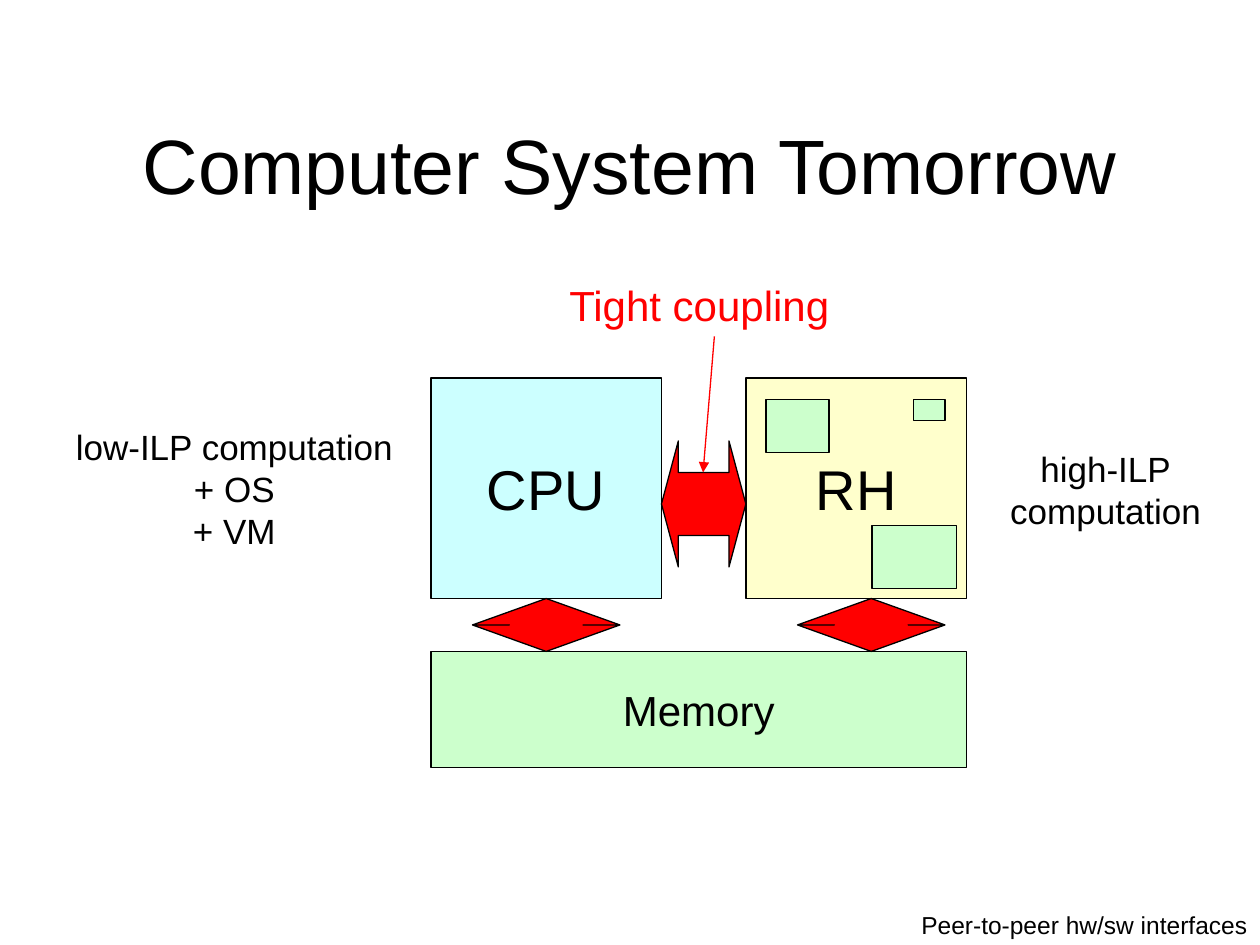
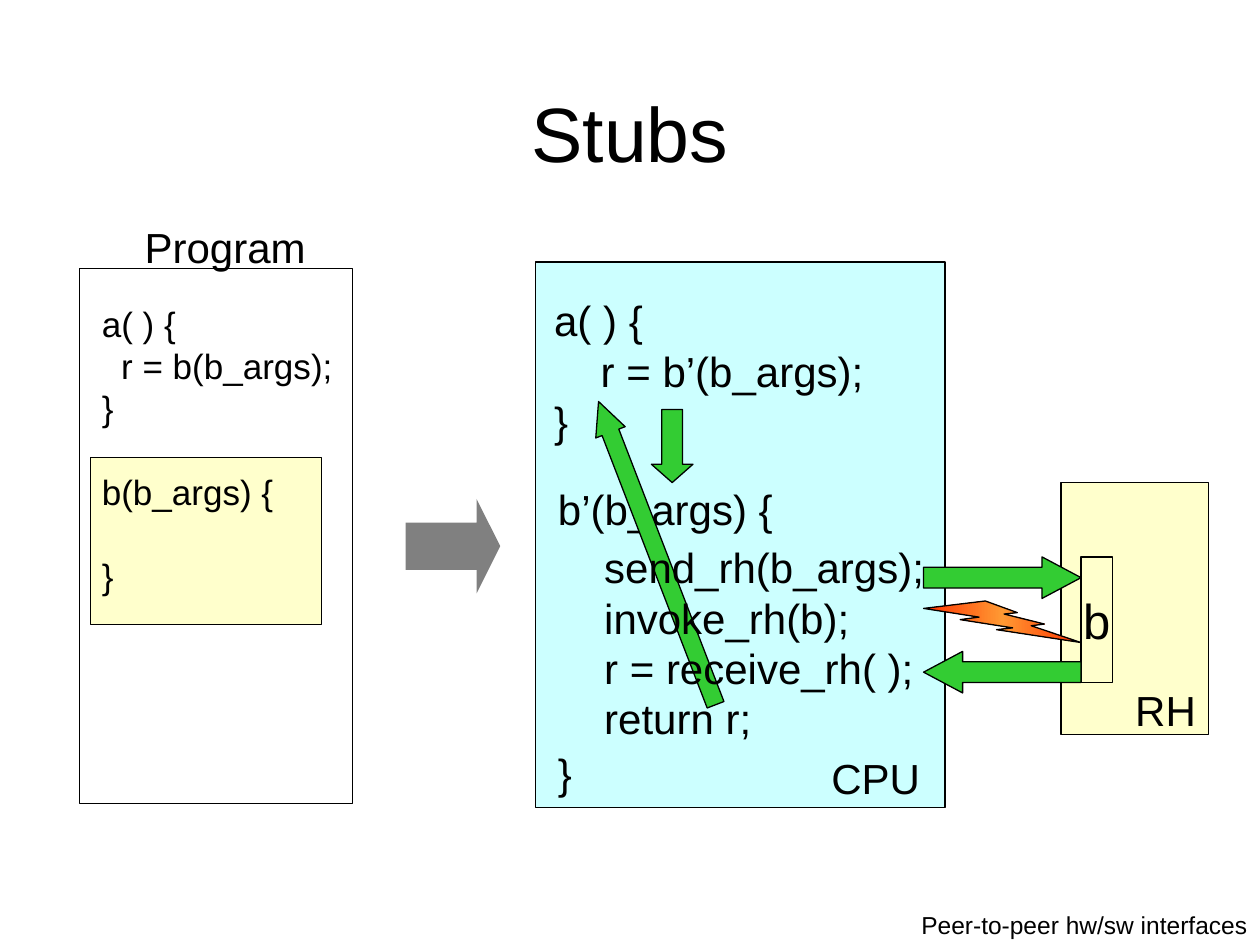
from copy import deepcopy
from dataclasses import dataclass

from lxml import etree
from pptx import Presentation
from pptx.dml.color import RGBColor
from pptx.enum.shapes import MSO_CONNECTOR, MSO_SHAPE
from pptx.enum.text import MSO_ANCHOR, PP_ALIGN
from pptx.oxml.ns import qn
from pptx.util import Inches, Pt

RECTANGLE = MSO_SHAPE.RECTANGLE
LEFT_RIGHT_ARROW = MSO_SHAPE.LEFT_RIGHT_ARROW
UP_DOWN_ARROW = MSO_SHAPE.UP_DOWN_ARROW
RIGHT_ARROW = MSO_SHAPE.RIGHT_ARROW
LEFT_ARROW = MSO_SHAPE.LEFT_ARROW
DOWN_ARROW = MSO_SHAPE.DOWN_ARROW
UP_ARROW = MSO_SHAPE.UP_ARROW
LIGHTNING_BOLT = MSO_SHAPE.LIGHTNING_BOLT
STRAIGHT = MSO_CONNECTOR.STRAIGHT
LEFT, CENTER, RIGHT = PP_ALIGN.LEFT, PP_ALIGN.CENTER, PP_ALIGN.RIGHT
TOP, MIDDLE, BOTTOM = MSO_ANCHOR.TOP, MSO_ANCHOR.MIDDLE, MSO_ANCHOR.BOTTOM
BLANK_LAYOUT = 6


@dataclass(frozen=True)
class Theme:
    font: str = "Arial"
    ink: str = "000000"
    processor: str = "CCFFFF"
    hardware: str = "FFFFCC"
    memory: str = "CCFFCC"
    coupling: str = "FF0000"
    call: str = "33CC33"
    transform: str = "808080"
    bolt_edge: str = "FF3300"
    bolt_core: str = "FF9933"
    line_width: float = 0.75
    title_size: int = 44
    block_size: int = 32
    function_size: int = 28
    label_size: int = 24
    note_size: int = 20
    footer_size: int = 14


THEME = Theme()


def color(value):
    return RGBColor.from_string(value)


def write_text(shape, text, size=THEME.label_size, ink=THEME.ink, align=LEFT,
               anchor=TOP, wrap=True, gaps=None, line_spacing=None):
    """Write one paragraph per line; gaps maps a line index to points before it."""
    frame = shape.text_frame
    frame.word_wrap = wrap
    frame.vertical_anchor = anchor
    for index, line in enumerate(text.split("\n")):
        paragraph = frame.paragraphs[0] if index == 0 else frame.add_paragraph()
        paragraph.text = line
        paragraph.alignment = align
        paragraph.line_spacing = line_spacing
        paragraph.space_before = Pt((gaps or {}).get(index, 0))
        paragraph.font.name = THEME.font
        paragraph.font.size = Pt(size)
        paragraph.font.color.rgb = color(ink)


def add_text(slide, text, box, **text_format):
    text_box = slide.shapes.add_textbox(*map(Inches, box))
    write_text(text_box, text, **text_format)


def add_block(slide, kind, box, fill=None, outlined=True, adjustments=()):
    shape = slide.shapes.add_shape(kind, *map(Inches, box))
    shape.shadow.inherit = False
    if fill:
        shape.fill.solid()
        shape.fill.fore_color.rgb = color(fill)
    else:
        shape.fill.background()
    if outlined:
        shape.line.color.rgb = color(THEME.ink)
        shape.line.width = Pt(THEME.line_width)
    else:
        shape.line.fill.background()
    for index, value in enumerate(adjustments):
        shape.adjustments[index] = value
    return shape


def add_labeled_box(slide, text, box, fill=None, size=THEME.label_size,
                    align=CENTER, anchor=MIDDLE):
    shape = add_block(slide, RECTANGLE, box, fill)
    write_text(shape, text, size=size, align=align, anchor=anchor, wrap=False)
    return shape


def add_pointer(slide, start, end, ink):
    connector = slide.shapes.add_connector(STRAIGHT, *map(Inches, (*start, *end)))
    connector.line.color.rgb = color(ink)
    connector.line.width = Pt(THEME.line_width)
    etree.SubElement(connector.line._get_or_add_ln(), qn("a:tailEnd"), type="triangle")
    etree.SubElement(connector._element.spPr, qn("a:effectLst"))


def add_lightning(slide, box):
    """Add a bolt whose colour runs from edge to core and back to edge."""
    bolt = add_block(slide, LIGHTNING_BOLT, box)
    bolt.fill.gradient()
    bolt.fill.gradient_angle = 0
    stops = bolt._element.spPr.find(qn("a:gradFill")).find(qn("a:gsLst"))
    stops.insert(1, deepcopy(stops[0]))
    shades = (THEME.bolt_edge, THEME.bolt_core, THEME.bolt_edge)
    for stop, position, shade in zip(bolt.fill.gradient_stops, (0, 0.5, 1), shades):
        stop.position = position
        stop.color.rgb = color(shade)


def add_slide(presentation, title, title_height):
    """Add a slide with the shared title style and footer."""
    slide = presentation.slides.add_slide(presentation.slide_layouts[BLANK_LAYOUT])
    add_text(slide, title, (0.75, 0.67, 8.5, title_height), size=THEME.title_size,
             align=CENTER, anchor=MIDDLE)
    add_text(slide, "Peer-to-peer hw/sw interfaces", (6.25, 7.17, 3.75, 0.33),
             size=THEME.footer_size, align=RIGHT)
    return slide


def build_system_slide(presentation):
    slide = add_slide(presentation, "Computer System Tomorrow", 1.25)
    notes = (("high-ILP\ncomputation", (7.82, 3.5, 1.91, 0.77)),
             ("low-ILP computation\n+ OS\n+ VM", (0.4, 3.33, 2.92, 1.1)))
    for text, box in notes:
        add_text(slide, text, box, size=THEME.note_size, align=CENTER)

    add_labeled_box(slide, "CPU", (3.42, 3, 1.83, 1.75), THEME.processor,
                    size=THEME.block_size)
    add_labeled_box(slide, "RH", (5.92, 3, 1.75, 1.75), THEME.hardware,
                    size=THEME.block_size)
    add_labeled_box(slide, "Memory", (3.42, 5.17, 4.25, 0.92), THEME.memory)
    for local_memory in ((6.08, 3.17, 0.5, 0.42), (7.25, 3.17, 0.25, 0.17),
                         (6.92, 4.17, 0.67, 0.5)):
        add_block(slide, RECTANGLE, local_memory, THEME.memory)

    add_text(slide, "Tight coupling", (4.42, 2.17, 2.4, 0.5), ink=THEME.coupling)
    add_block(slide, LEFT_RIGHT_ARROW, (5.25, 3.5, 0.67, 1), THEME.coupling,
              adjustments=(0.5, 0.2))
    add_pointer(slide, (5.67, 2.67), (5.58, 3.75), THEME.coupling)
    for left in (3.75, 6.33):
        add_block(slide, UP_DOWN_ARROW, (left, 4.75, 1.17, 0.42), THEME.coupling,
                  adjustments=(0.2, 0.5))


def build_stubs_slide(presentation):
    slide = add_slide(presentation, "Stubs", 0.75)

    add_block(slide, RECTANGLE, (4.25, 2.08, 3.25, 4.33), THEME.processor)
    hardware = add_labeled_box(slide, "RH", (8.42, 3.83, 1.17, 2), THEME.hardware,
                               align=RIGHT, anchor=BOTTOM)
    hardware.text_frame.margin_bottom = 0
    add_block(slide, RIGHT_ARROW, (3.22, 3.96, 0.75, 0.75), THEME.transform,
              outlined=False, adjustments=(0.5, 0.25))
    add_text(slide, "a( ) {\n    r = b’(b_args);\n}", (4.3, 2.29, 2.83, 1.3))
    add_text(slide, "b’(b_args) {\n}", (4.33, 3.83, 3.25, 2.57),
             gaps={1: 125}, line_spacing=0.9)
    add_text(slide, "CPU", (6.5, 5.92, 1, 0.5))
    add_labeled_box(slide, "b", (8.58, 4.42, 0.25, 1), size=THEME.function_size)

    add_block(slide, RECTANGLE, (0.63, 2.13, 2.17, 4.25))
    add_block(slide, RECTANGLE, (0.72, 3.63, 1.83, 1.33), THEME.hardware)
    add_text(slide, "a( ) {\n  r = b(b_args);\n}\nb(b_args) {\n}",
             (0.71, 2.35, 2.2, 2.77), size=THEME.note_size, gaps={3: 24, 4: 24})

    for kind, top in ((RIGHT_ARROW, 4.42), (LEFT_ARROW, 5.17)):
        add_block(slide, kind, (7.33, top, 1.25, 0.33), THEME.call,
                  adjustments=(0.5, 0.94))
    add_lightning(slide, (7.33, 4.77, 1.25, 0.33))
    add_block(slide, DOWN_ARROW, (5.17, 3.25, 0.33, 0.58), THEME.call,
              adjustments=(0.5, 0.44))
    return_arrow = add_block(slide, UP_ARROW, (5.09, 3.1, 0.25, 2.58), THEME.call,
                             adjustments=(0.57, 1.05))
    return_arrow.rotation = 338.9

    add_text(slide, "Program", (1.05, 1.71, 1.6, 0.5))
    add_text(slide, "   send_rh(b_args);\n   invoke_rh(b);\n"
                    "   r = receive_rh( );\n   return r;", (4.42, 4.25, 3.3, 1.7))


def main():
    presentation = Presentation()
    presentation.slide_width = Inches(10)
    presentation.slide_height = Inches(7.5)
    build_system_slide(presentation)
    build_stubs_slide(presentation)
    presentation.save("out.pptx")


if __name__ == "__main__":
    main()
